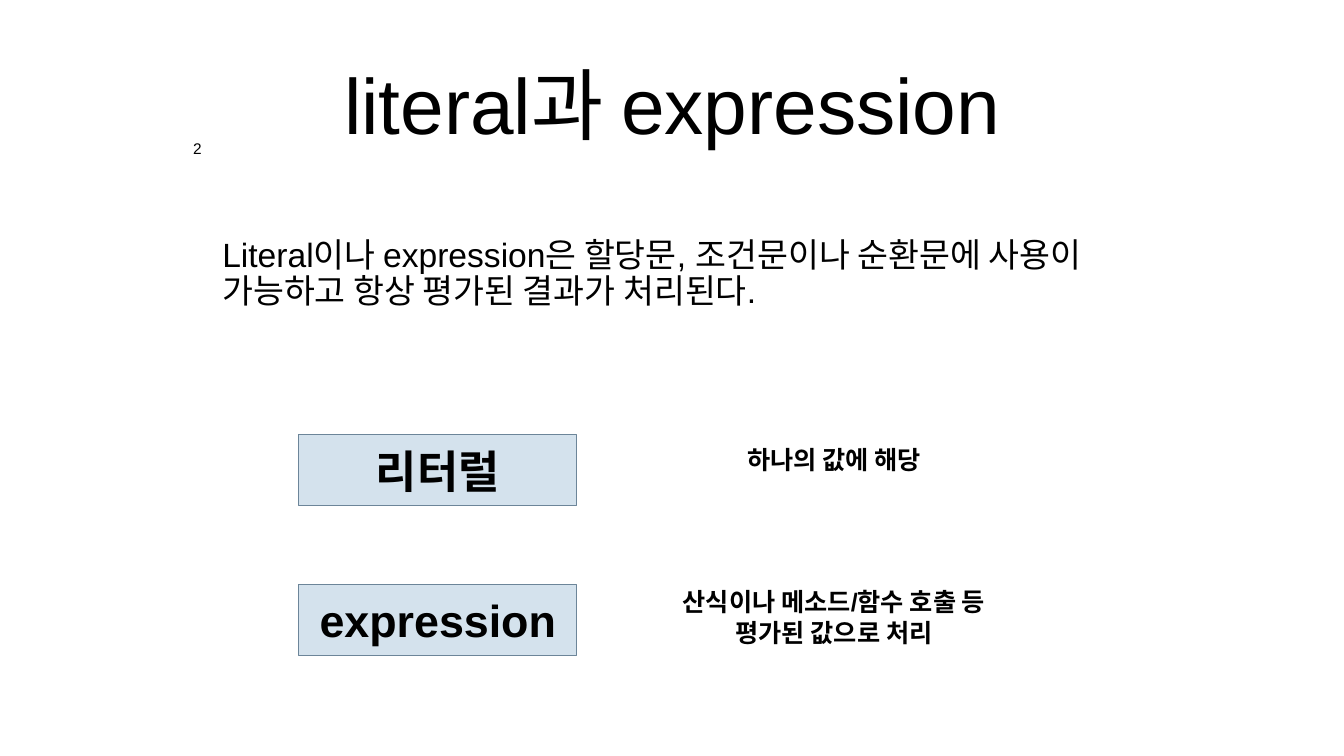
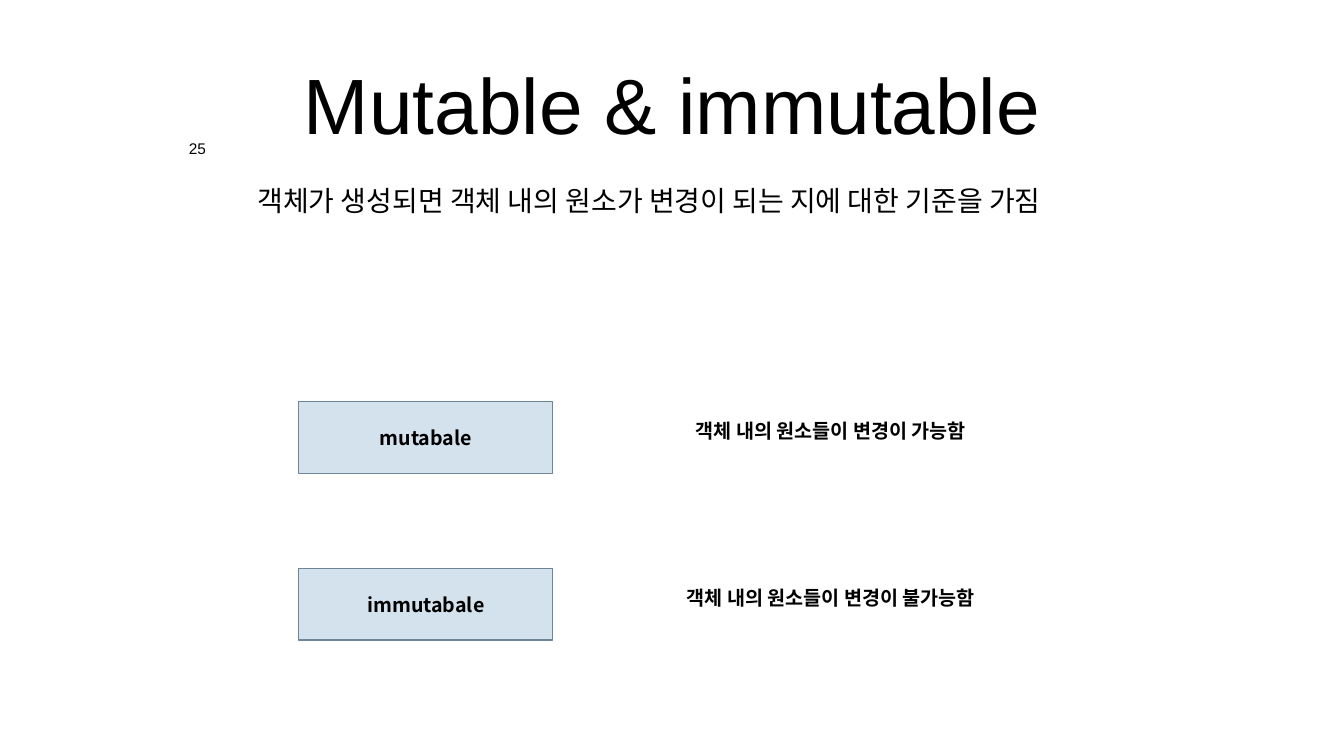
import pptx
import pptx.util
import pptx.dml.color
import pptx.enum.shapes
import pptx.enum.text
from dataclasses import dataclass
from lxml import etree

Pt = pptx.util.Pt
RGB = pptx.dml.color.RGBColor
ALIGN = pptx.enum.text.PP_ALIGN
ANCHOR = pptx.enum.text.MSO_ANCHOR

TOPICS = [
    {
        "title": "literal과 expression",
        "number": "2",
        "intro": {
            "text": "Literal이나 expression은 할당문, 조건문이나 순환문에 사용이 가능하고 항상 평가된 결과가 처리된다.",
            "size": 48, "width": 1296, "height": 272,
            "indent": 0, "anchor": ANCHOR.MIDDLE, "line_spacing": 0.9,
        },
        "terms": [
            {"term": "리터럴", "meaning": "하나의 값에 해당", "drop": 10, "height": 51},
            {"term": "expression", "meaning": "산식이나 메소드/함수 호출 등 평가된 값으로 처리",
             "drop": 0, "height": 94},
        ],
        "rows": {"top": 620.6, "pitch": 213.9, "term_width": 396.7,
                 "meaning_left": 925, "meaning_width": 532.8},
        "term_size": 64, "meaning_size": 36, "term_font": "Arial",
    },
    {
        "title": "Mutable & immutable",
        "number": "25",
        "intro": {
            "text": "객체가 생성되면 객체 내의 원소가 변경이 되는 지에 대한 기준을 가짐",
            "size": 40, "width": 1479, "height": 227,
            "indent": 50.4, "anchor": ANCHOR.TOP, "line_spacing": 1.0,
        },
        "terms": [
            {"term": "mutabale", "meaning": "객체 내의 원소들이 변경이 가능함", "drop": 21, "height": 41},
            {"term": "immutabale", "meaning": "객체 내의 원소들이 변경이 불가능함", "drop": 21, "height": 41},
        ],
        "rows": {"top": 573.8, "pitch": 238.3, "term_width": 362.9,
                 "meaning_left": 858.2, "meaning_width": 657.4},
        "term_size": 28, "meaning_size": 28, "term_font": "Noto Sans CJK KR",
    },
]


@dataclass(frozen=True)
class Theme:
    ink: str = "000000"
    term_fill: str = "D4E2ED"
    term_line: str = "6C8599"
    line_width: float = 1.5
    font: str = "Arial"
    korean_font: str = "Noto Sans CJK KR"
    title_size: int = 112
    number_size: int = 22


THEME = Theme()
SLIDE_WIDTH, SLIDE_HEIGHT = 1920, 1080
TITLE_BOX = (345.6, 28, 1229, 239)
INTRO_LEFT, INTRO_TOP = 311.8, 256.3
NUMBER_CENTER, NUMBER_TOP, NUMBER_HEIGHT, DIGIT_WIDTH = 282, 198, 32.4, 12
TERM_LEFT, TERM_HEIGHT = 427, 102.2


def write(shape, text, size, font=THEME.font, bold=False, align=ALIGN.CENTER,
          anchor=ANCHOR.TOP, inset=(5.76, 5.76), wrap=True, line_spacing=1.0):
    frame = shape.text_frame
    frame.text = text
    frame.word_wrap = wrap
    frame.vertical_anchor = anchor
    frame.margin_left = frame.margin_right = Pt(inset[0])
    frame.margin_top = frame.margin_bottom = Pt(inset[1])
    paragraph = frame.paragraphs[0]
    paragraph.alignment = align
    paragraph.line_spacing = line_spacing
    for run in paragraph.runs:
        run.font.size = Pt(size)
        run.font.name = font
        run.font.bold = bold
        run.font.color.rgb = RGB.from_string(THEME.ink)
        east_asian = etree.SubElement(run.font._element, pptx.oxml.ns.qn("a:ea"))
        east_asian.set("typeface", THEME.korean_font)


def add_text(slide, box, text, size, **style):
    area = slide.shapes.add_textbox(*map(Pt, box))
    write(area, text, size, **style)


def add_intro(slide, intro):
    indent = intro["indent"]
    box = (INTRO_LEFT + indent, INTRO_TOP, intro["width"] - indent, intro["height"])
    add_text(slide, box, intro["text"], intro["size"], align=ALIGN.LEFT,
             anchor=intro["anchor"], line_spacing=intro["line_spacing"])


def add_number(slide, number):
    width = DIGIT_WIDTH * (len(number) + 1)
    box = (NUMBER_CENTER - width / 2, NUMBER_TOP, width, NUMBER_HEIGHT)
    add_text(slide, box, number, THEME.number_size, wrap=False, line_spacing=0.8)


def add_term(slide, box, text, size, font):
    term = slide.shapes.add_shape(pptx.enum.shapes.MSO_SHAPE.RECTANGLE, *map(Pt, box))
    term.shadow.inherit = False
    term.fill.solid()
    term.fill.fore_color.rgb = RGB.from_string(THEME.term_fill)
    term.line.color.rgb = RGB.from_string(THEME.term_line)
    term.line.width = Pt(THEME.line_width)
    write(term, text, size, font=font, bold=True, anchor=ANCHOR.MIDDLE, inset=(7.2, 7.2))


def add_terms(slide, topic):
    rows, font = topic["rows"], topic["term_font"]
    for index, entry in enumerate(topic["terms"]):
        top = rows["top"] + index * rows["pitch"]
        add_term(slide, (TERM_LEFT, top, rows["term_width"], TERM_HEIGHT),
                 entry["term"], topic["term_size"], font)
        meaning_box = (rows["meaning_left"], top + entry["drop"],
                       rows["meaning_width"], entry["height"])
        add_text(slide, meaning_box, entry["meaning"], topic["meaning_size"],
                 font=font, bold=True, inset=(7.2, 3.6))


def main():
    deck = pptx.Presentation()
    deck.slide_width, deck.slide_height = Pt(SLIDE_WIDTH), Pt(SLIDE_HEIGHT)
    for topic in TOPICS:
        slide = deck.slides.add_slide(deck.slide_layouts[6])
        add_text(slide, TITLE_BOX, topic["title"], THEME.title_size, anchor=ANCHOR.MIDDLE)
        add_intro(slide, topic["intro"])
        add_number(slide, topic["number"])
        add_terms(slide, topic)
    deck.save("out.pptx")


if __name__ == "__main__":
    main()
